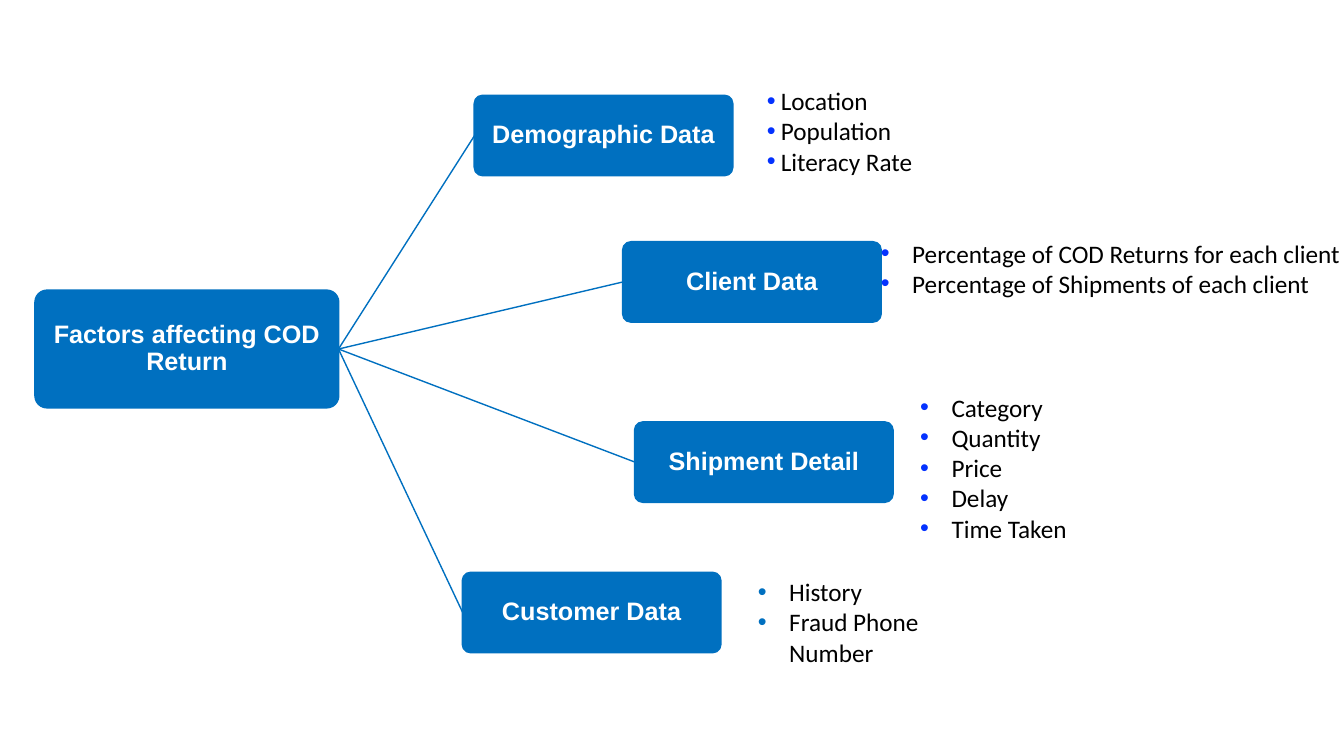
"""Build a slide that maps the factors affecting COD returns."""
from dataclasses import dataclass

from lxml.etree import SubElement as Sub
from pptx import Presentation
from pptx.dml.color import RGBColor as Rgb
from pptx.enum.shapes import MSO_CONNECTOR as Conn, MSO_SHAPE as Kind
from pptx.enum.text import MSO_ANCHOR as Anchor, PP_ALIGN as Align
from pptx.oxml.ns import qn
from pptx.util import Cm, Pt


@dataclass(frozen=True)
class Theme:
    """Hold the colours, fonts and type sizes of the slide."""
    blue: str = "0070C0"
    dot: str = "0432FF"
    white: str = "FFFFFF"
    black: str = "000000"
    head: str = "Arial"
    body: str = "Calibri"
    size: int = 18
    edge: float = 1.5
    link: float = 1


THEME = Theme()
ROOT = ("Factors affecting COD Return", 0.89, 7.32, 7.64, 2.95)
NODE = (6.5, 2.01)
WIDE, SLIM = 0.79, 0.35
GROUPS = [
    ("Demographic Data", (11.96, 2.41), (19.08, 2.03, 6.99, 2.57),
     ["Location", "Population", "Literacy Rate"], SLIM, THEME.dot),
    ("Client Data", (15.7, 6.1), (21.95, 5.87, 12.2, 2.57),
     ["Percentage of COD Returns for each client",
      "Percentage of Shipments of each client"], WIDE, THEME.dot),
    ("Shipment Detail", (16, 10.64), (22.94, 9.75, 10.49, 4.11),
     ["Category", "Quantity", "Price", "Delay", "Time Taken"],
     WIDE, THEME.dot),
    ("Customer Data", (11.66, 14.43), (18.85, 14.4, 6.63, 2.57),
     ["History", "Fraud Phone Number"], WIDE, THEME.blue),
]


def write(para, text, font=THEME.body, color=THEME.black, bold=False,
          align=Align.LEFT, space=1.0):
    """Put formatted text in a paragraph."""
    para.alignment = align
    para.line_spacing = space
    run = para.add_run()
    run.text = text
    run.font.name = font
    run.font.size = Pt(THEME.size)
    run.font.bold = bold
    run.font.color.rgb = Rgb.from_string(color)


def bullet(para, color, indent):
    """Give a paragraph a coloured bullet with a hanging indent."""
    props = para._p.get_or_add_pPr()
    props.set("marL", str(Cm(indent)))
    props.set("indent", str(-Cm(indent)))
    Sub(Sub(props, qn("a:buClr")), qn("a:srgbClr"), val=color)
    Sub(props, qn("a:buFont"), typeface="Arial")
    Sub(props, qn("a:buChar"), char="•")


def add_node(slide, text, *place):
    """Add a rounded blue box with a centred label."""
    box = slide.shapes.add_shape(Kind.ROUNDED_RECTANGLE, *map(Cm, place))
    box.adjustments[0] = 0.1
    box.shadow.inherit = False
    box.fill.solid()
    box.fill.fore_color.rgb = Rgb.from_string(THEME.blue)
    box.line.color.rgb = Rgb.from_string(THEME.blue)
    box.line.width = Pt(THEME.edge)
    frame = box.text_frame
    frame.word_wrap = True
    frame.vertical_anchor = Anchor.MIDDLE
    frame.margin_left = frame.margin_right = Cm(0.12)
    frame.margin_top = frame.margin_bottom = Cm(0.12)
    write(frame.paragraphs[0], text, font=THEME.head, color=THEME.white,
          bold=True, align=Align.CENTER, space=0.9)
    return box


def add_link(slide, start, end):
    """Join the right side of one box to the left side of another."""
    link = slide.shapes.add_connector(Conn.STRAIGHT, 0, 0, 0, 0)
    link.begin_connect(start, 3)
    link.end_connect(end, 1)
    link.line.color.rgb = Rgb.from_string(THEME.blue)
    link.line.width = Pt(THEME.link)
    Sub(link._element.spPr, qn("a:effectLst"))


def add_list(slide, items, place, indent, color):
    """Add a text box with one bullet for each item."""
    frame = slide.shapes.add_textbox(*map(Cm, place)).text_frame
    frame.word_wrap = True
    for num, item in enumerate(items):
        para = frame.add_paragraph() if num else frame.paragraphs[0]
        write(para, item)
        bullet(para, color, indent)


def main():
    """Draw the tree of factors and save the deck."""
    deck = Presentation()
    deck.slide_width, deck.slide_height = Cm(33.87), Cm(19.05)
    slide = deck.slides.add_slide(deck.slide_layouts[6])
    root = add_node(slide, *ROOT)
    for label, spot, place, items, indent, color in GROUPS:
        node = add_node(slide, label, *spot, *NODE)
        add_link(slide, root, node)
        add_list(slide, items, place, indent, color)
    deck.save("out.pptx")


if __name__ == "__main__":
    main()
